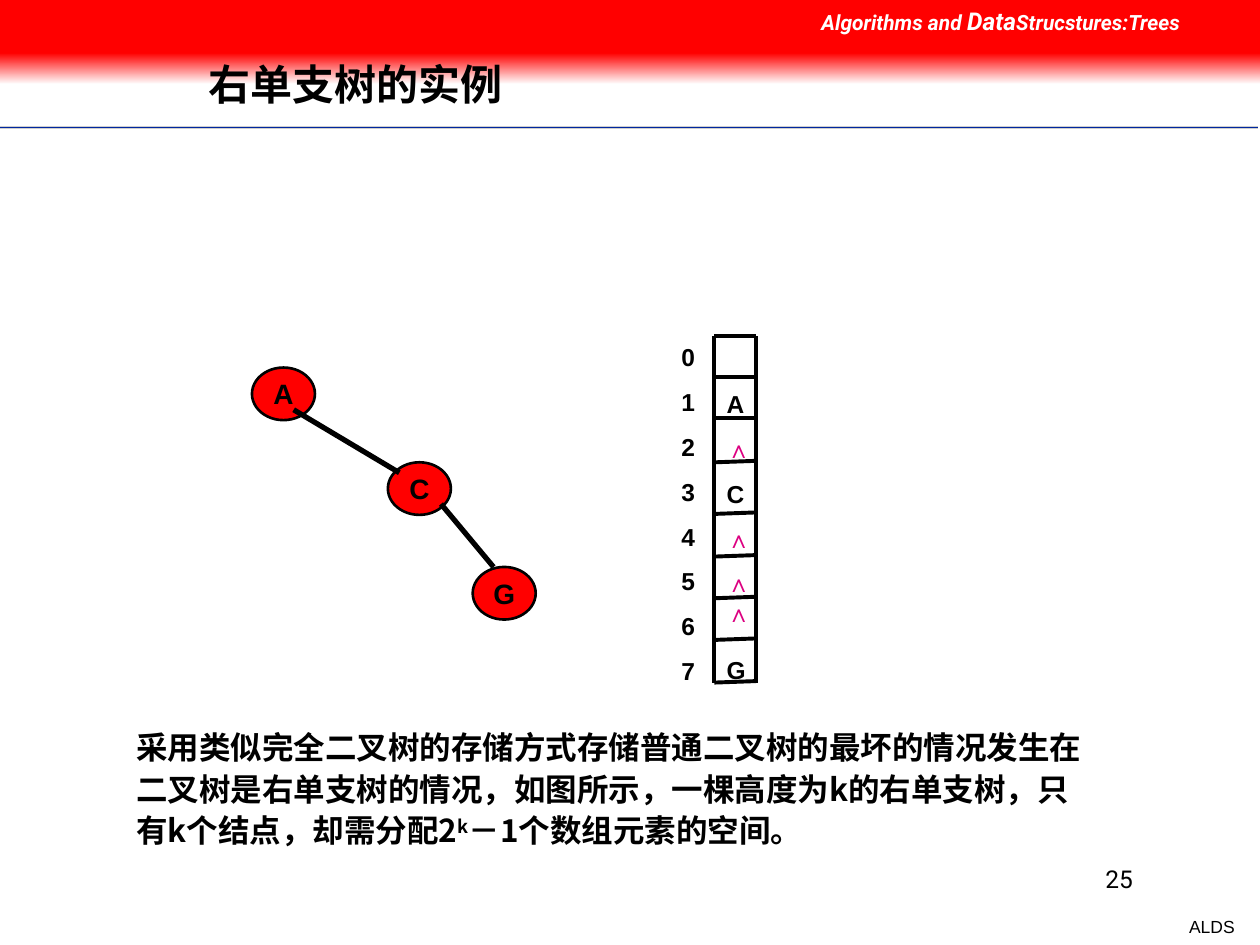
import pptx
import pptx.util
import pptx.dml.color
import pptx.enum.shapes
import pptx.enum.text
import pptx.oxml.ns
import lxml.etree

Cm = pptx.util.Cm
Pt = pptx.util.Pt
hex_color = pptx.dml.color.RGBColor.from_string
PP_ALIGN = pptx.enum.text.PP_ALIGN
MIDDLE = pptx.enum.text.MSO_ANCHOR.MIDDLE
SHAPE = pptx.enum.shapes.MSO_SHAPE
qn = pptx.oxml.ns.qn

BLACK, WHITE, RED, MAGENTA = "000000", "FFFFFF", "FF0000", "DC0081"
CJK = "Noto Sans CJK SC"

deck = pptx.Presentation()
deck.slide_width, deck.slide_height = Cm(25.4), Cm(19.05)
slide = deck.slides.add_slide(deck.slide_layouts[6])
shapes = slide.shapes


def add_line(x1, y1, x2, y2, color, width):
    line = shapes.add_connector(pptx.enum.shapes.MSO_CONNECTOR.STRAIGHT,
                                Cm(x1), Cm(y1), Cm(x2), Cm(y2))
    line.line.color.rgb = hex_color(color)
    line.line.width = Pt(width)
    lxml.etree.SubElement(line._element.spPr, qn("a:effectLst"))


def add_run(paragraph, text, font, size, color=BLACK, bold=True):
    run = paragraph.add_run()
    run.text = text
    run.font.name = font
    run.font.size = Pt(size)
    run.font.bold = bold
    run.font.color.rgb = hex_color(color)
    east_asian = lxml.etree.SubElement(run.font._element, qn("a:ea"))
    east_asian.set("typeface", font)
    return run


# Rule under the title
for y, color, width in [(2.57, "CECECE", 2), (2.57, "00279F", 1), (2.62, WHITE, 1)]:
    add_line(0, y, 25.35, y, color, width)

# Red banner with a fading lower edge
fade = shapes.add_shape(SHAPE.RECTANGLE, 0, Cm(1.07), Cm(25.4), Cm(0.63))
fade.fill.gradient()
fade.fill.gradient_angle = 270
for stop, color in zip(fade.fill.gradient_stops, [RED, WHITE]):
    stop.color.rgb = hex_color(color)
banner = shapes.add_shape(SHAPE.RECTANGLE, 0, 0, Cm(25.4), Cm(1.07))
banner.fill.solid()
banner.fill.fore_color.rgb = hex_color(RED)
for band in (fade, banner):
    band.line.fill.background()
    band.shadow.inherit = False

# Text frames
places = {
    "footer": (23.72, 18.34, 1.42, 0.69),
    "page": (18.21, 17.3, 4.88, 1.27),
    "course": (16.31, 0, 9.09, 0.86),
    "title": (3.96, 0.81, 19.18, 1.88),
    "cells": (14.4, 7.72, 1.47, 7.14),
    "indices": (13.34, 6.78, 1.07, 8.08),
    "explanation": (2.75, 14.6, 19.06, 2.51),
}
frames = {}
for part, place in places.items():
    frames[part] = shapes.add_textbox(*[Cm(length) for length in place]).text_frame
    frames[part].word_wrap = part != "footer"

# Footer and page number
for part, text, font, size in [("footer", "ALDS", "Arial", 10),
                               ("page", "25", "Roboto", 14)]:
    paragraph = frames[part].paragraphs[0]
    paragraph.alignment = PP_ALIGN.RIGHT
    add_run(paragraph, text, font, size, bold=False)

# Course name in the banner
for text, size in [("Algorithms and ", 12), ("Data", 14), ("Strucstures:Trees", 12)]:
    add_run(frames["course"].paragraphs[0], text, "Roboto", size, WHITE).font.italic = True

# Title
frames["title"].vertical_anchor = MIDDLE
title = frames["title"].paragraphs[0]
title.line_spacing = 0.9
add_run(title, "右单支树的实例", CJK, 24)

# Array contents: text and space before, from index 1 on
contents = [("A", 0), ("∧", 8.8), ("C", 8.8), ("∧", 8.8), ("∧", 8.8), ("∧", 0), ("G", 16.1)]
for i, (value, gap) in enumerate(contents):
    paragraph = frames["cells"].add_paragraph() if i else frames["cells"].paragraphs[0]
    paragraph.space_before = Pt(gap)
    add_run(paragraph, value, "Arial", 14, MAGENTA if value == "∧" else BLACK)

# Array indices
for i in range(8):
    paragraph = frames["indices"].add_paragraph() if i else frames["indices"].paragraphs[0]
    paragraph.alignment = PP_ALIGN.CENTER
    paragraph.space_before = Pt(8.8 if i else 0)
    add_run(paragraph, str(i), "Arial", 14)

# Array grid: lower dividers rise slightly to the right
left, right = 14.4, 15.24
dividers = [6.78, 7.6, 8.43, 9.32, 10.36, 11.22, 12.06, 12.9, 13.76]
for i, y in enumerate(dividers):
    add_line(left, y, right, y - (0.03 if i > 2 else 0), BLACK, 2.25)
for x in (left, right):
    add_line(x, dividers[0], x, dividers[-1], BLACK, 2.25)

# Tree nodes
for letter, x, y in [("A", 5.08, 7.41), ("C", 7.82, 9.32), ("G", 9.53, 11.43)]:
    node = shapes.add_shape(SHAPE.OVAL, Cm(x), Cm(y), Cm(1.27), Cm(1.06))
    node.shadow.inherit = False
    node.fill.solid()
    node.fill.fore_color.rgb = hex_color(RED)
    node.line.color.rgb = hex_color(BLACK)
    node.line.width = Pt(1.5)
    node.text_frame.word_wrap = False
    node.text_frame.vertical_anchor = MIDDLE
    node.text_frame.paragraphs[0].alignment = PP_ALIGN.CENTER
    add_run(node.text_frame.paragraphs[0], letter, "Arial", 16)

# Tree edges
add_line(5.92, 8.26, 8.05, 9.53, BLACK, 3)
add_line(8.89, 10.16, 9.95, 11.43, BLACK, 3)

# Explanation
explanation = frames["explanation"]
explanation.margin_left = explanation.margin_right = 0
explanation.margin_top = explanation.margin_bottom = 0
paragraph = explanation.paragraphs[0]
paragraph.line_spacing = Pt(23.8)
add_run(paragraph, "采用类似完全二叉树的存储方式存储普通二叉树的最坏的情况发生在"
        "二叉树是右单支树的情况，如图所示，一棵高度为k的右单支树，"
        "只有k个结点，却需分配2", CJK, 18)
exponent = add_run(paragraph, "k", CJK, 18)
exponent.font._element.set("baseline", "30000")
add_run(paragraph, "－1个数组元素的空间。", CJK, 18)

deck.save("out.pptx")
